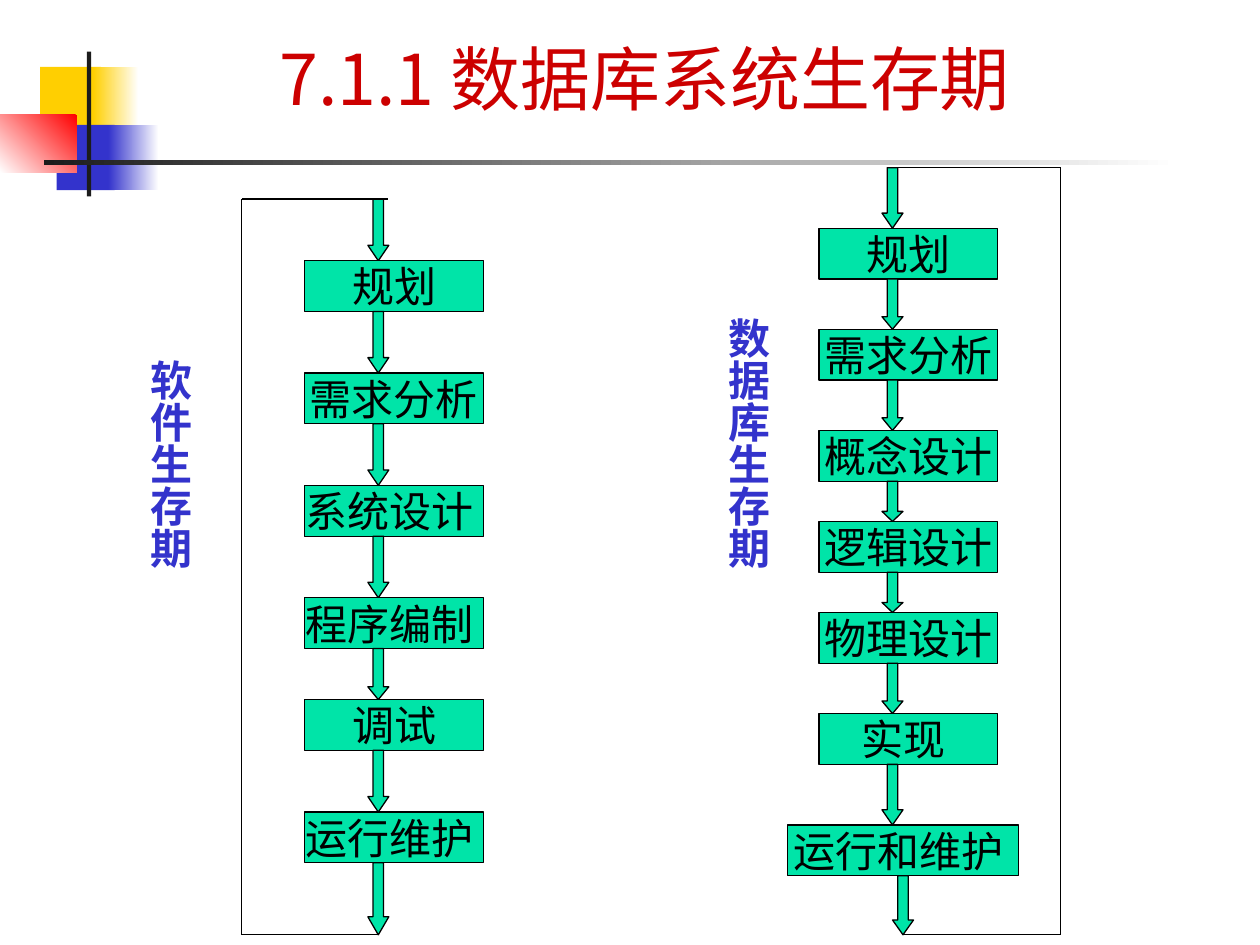
from lxml.etree import SubElement
from pptx import Presentation
from pptx.dml.color import RGBColor
from pptx.enum.shapes import MSO_CONNECTOR as Link, MSO_SHAPE as Kind
from pptx.enum.text import MSO_ANCHOR as Anchor, MSO_AUTO_SIZE as Fit, PP_ALIGN as Align
from pptx.oxml.ns import qn
from pptx.util import Pt

GREEN = RGBColor(0x00, 0xE4, 0xA8)
BLACK = RGBColor(0x00, 0x00, 0x00)
WHITE = RGBColor(0xFF, 0xFF, 0xFF)
BLUE = RGBColor(0x33, 0x33, 0xCC)
RED = RGBColor(0xCC, 0x00, 0x00)
BRIGHT = RGBColor(0xFF, 0x00, 0x00)
GOLD = RGBColor(0xFF, 0xCF, 0x01)
DARK = RGBColor(0x1C, 0x1C, 0x1C)
SANS, SERIF = "Noto Sans CJK SC", "Times New Roman"

# Content: steps are (text, font, gap above)
TITLE = "7.1.1 数据库系统生存期 "
FLOWS = [
    {"label": "软件生存期", "place": (72, 198, 43.2, 234),
     "steps": [("规划", SERIF, 35.2), ("需求分析", SERIF, 35.2),
               ("系统设计 ", SANS, 35.2), ("程序编制 ", SANS, 35.2),
               (" 调试 ", SANS, 29.2), ("运行维护 ", SANS, 35.2)],
     "top": 113.8, "left": 174.2, "axis": 216.2, "spine": 138.2,
     "start": 222, "exit": 216.2, "last": (174.2, 102)},
    {"label": "数据库生存期", "place": (402.5, 174.2, 43.2, 180),
     "steps": [("规划", SERIF, 34.6), ("需求分析", SANS, 28.8),
               ("概念设计", SANS, 28.8), ("逻辑设计", SANS, 23),
               ("物理设计", SANS, 23), ("实现 ", SANS, 28.8),
               ("运行和维护 ", SANS, 34.6)],
     "top": 95.8, "left": 468, "axis": 510, "spine": 606.2,
     "start": 510, "exit": 516, "last": (450, 132)},
]
BOX_W, BOX_H, ARROW_W, END = 102, 29, 12, 534.2

# Decor: place, colour or (first, second, angle)
DECOR = [
    ((23, 38.2, 34.6, 37.4), GOLD),
    ((53.3, 38.2, 25.9, 37.4), (WHITE, GOLD, 180)),
    ((32.4, 71.3, 33.1, 37.4), BLUE),
    ((61.9, 71.3, 28.8, 37.4), (WHITE, BLUE, 180)),
    ((0, 65.5, 43.9, 33.1), (BRIGHT, WHITE, 225)),
    ((49.7, 29.5, 2.4, 82.8), DARK),
    ((25.2, 91.4, 648, 3), (WHITE, DARK, 180)),
]


def add_run(para, text, font, size, color, bold=False):
    run = para.add_run()
    run.text = text
    run.font.size, run.font.bold = Pt(size), bold
    run.font.color.rgb = color
    run.font.name = font
    SubElement(run.font._element, qn("a:ea"), typeface=SANS)


def add_block(kind, place, color, edge=True):
    block = slide.shapes.add_shape(kind, *map(Pt, place))
    block.shadow.inherit = False
    if isinstance(color, RGBColor):
        block.fill.solid()
        block.fill.fore_color.rgb = color
    else:
        first, second, angle = color
        block.fill.gradient()
        block.fill.gradient_angle = angle
        for stop, tone in zip(block.fill.gradient_stops, (first, second)):
            stop.color.rgb = tone
    if edge:
        block.line.color.rgb = BLACK
        block.line.width = Pt(0.75)
    else:
        block.line.fill.background()
    return block


def add_arrow(axis, top, high):
    arrow = add_block(Kind.DOWN_ARROW, (axis - ARROW_W / 2, top, ARROW_W, high), GREEN)
    arrow.adjustments[1] = high / 4 / ARROW_W


def add_line(*ends):
    line = slide.shapes.add_connector(Link.STRAIGHT, *map(Pt, ends))
    line.line.color.rgb = BLACK
    line.line.width = Pt(0.75)
    SubElement(line._element.spPr, qn("a:effectLst"))


def add_box(text, font, left, top, wide):
    frame = add_block(Kind.RECTANGLE, (left, top, wide, BOX_H), GREEN).text_frame
    frame.word_wrap = False
    frame.vertical_anchor = Anchor.MIDDLE
    para = frame.paragraphs[0]
    para.alignment = Align.CENTER
    add_run(para, text, font, 24, BLACK)


def add_label(text, place):
    frame = slide.shapes.add_textbox(*map(Pt, place)).text_frame
    frame.word_wrap = True
    frame.margin_left = frame.margin_right = Pt(3.6)
    frame.margin_top = frame.margin_bottom = Pt(7.2)
    frame._txBody.bodyPr.set("vert", "eaVert")
    para = frame.paragraphs[0]
    para.alignment = Align.CENTER
    add_run(para, text, SERIF, 24, BLUE, True)


def add_flow(flow):
    top, steps = flow["top"], flow["steps"]
    for i, (text, font, gap) in enumerate(steps):
        add_arrow(flow["axis"], top, gap)
        top += gap
        final = i == len(steps) - 1
        left, wide = flow["last"] if final else (flow["left"], BOX_W)
        add_box(text, font, left, top, wide)
        top += BOX_H
    add_arrow(flow["exit"], top, END - top)
    # Return path from the last step to the first
    spine = flow["spine"]
    add_line(spine, flow["top"], spine, END)
    add_line(spine, END, flow["exit"], END)
    add_line(spine, flow["top"], flow["start"], flow["top"])
    add_label(flow["label"], flow["place"])


deck = Presentation()
deck.slide_width, deck.slide_height = Pt(720), Pt(540)
slide = deck.slides.add_slide(deck.slide_layouts[5])

# Corner decoration and rule
for place, color in DECOR:
    add_block(Kind.RECTANGLE, place, color, edge=False)

# Title
title = slide.shapes.title
title.left, title.top, title.width, title.height = map(Pt, (66.2, -18, 613.4, 90))
title.text_frame.auto_size = Fit.NONE
title.text_frame.vertical_anchor = Anchor.BOTTOM
head = title.text_frame.paragraphs[0]
head.alignment = Align.CENTER
add_run(head, TITLE, SANS, 40, RED)

# Two life cycles
for flow in FLOWS:
    add_flow(flow)

deck.save("out.pptx")
